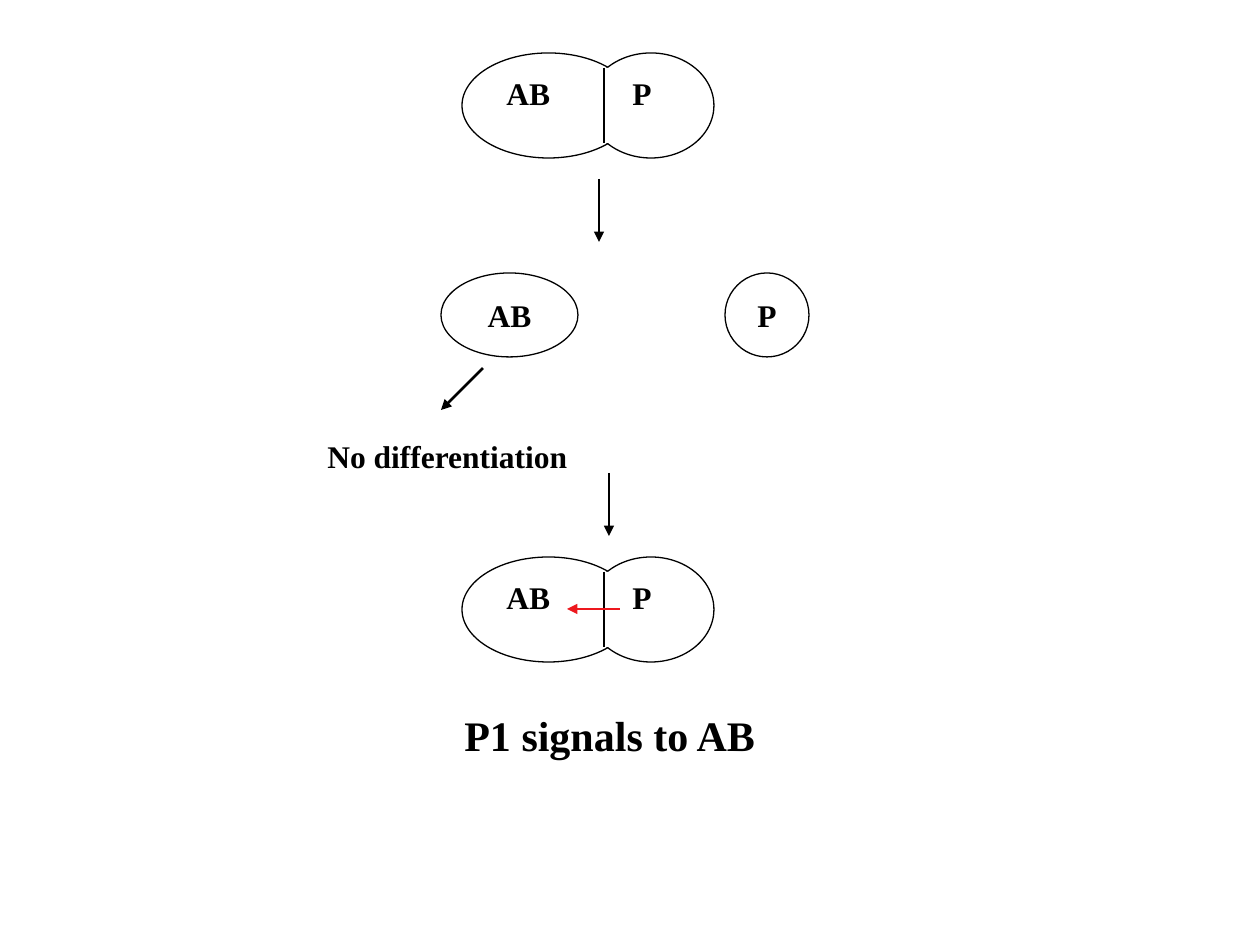
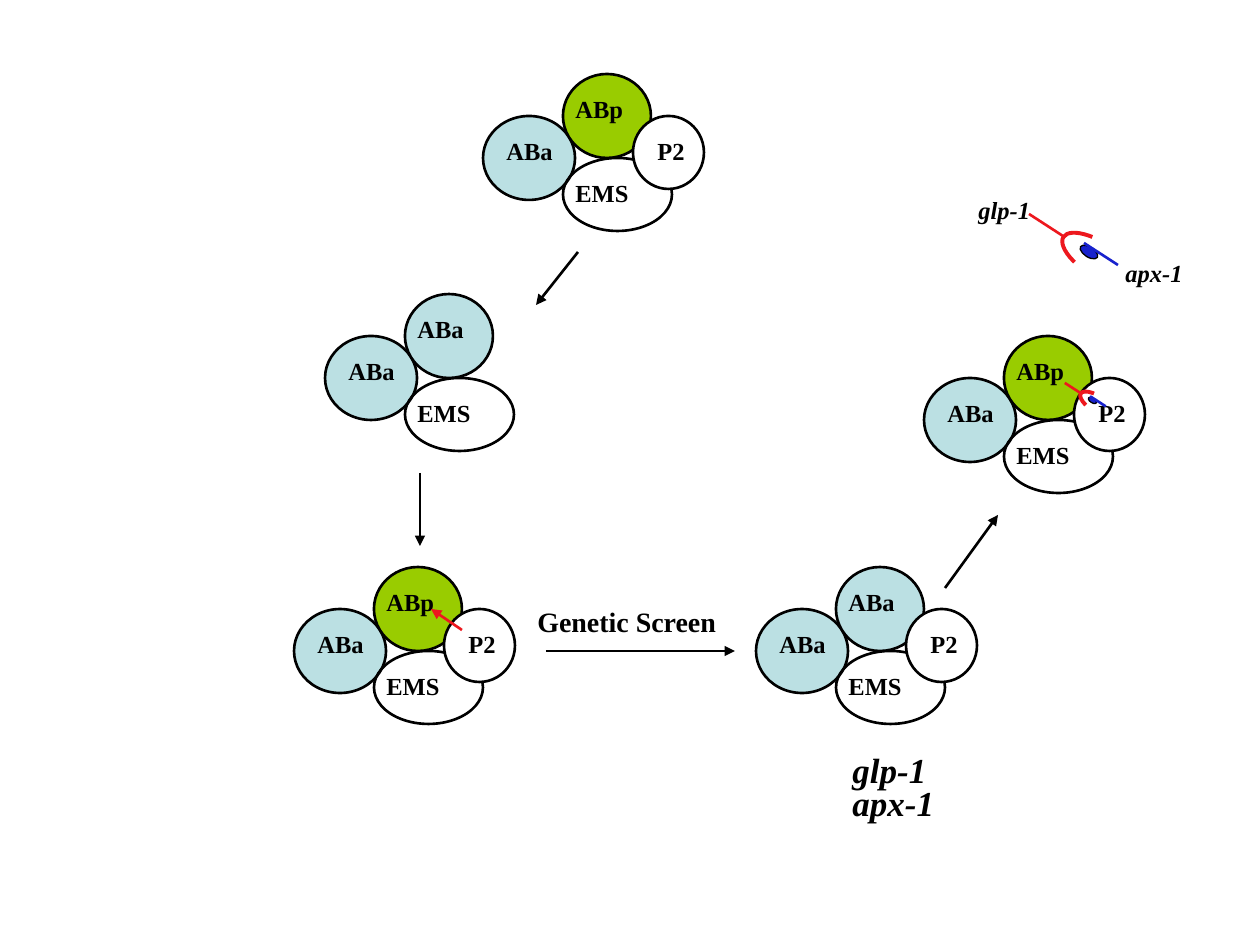
from dataclasses import dataclass

from lxml import etree
from pptx import Presentation
from pptx.dml.color import RGBColor
from pptx.enum.shapes import MSO_CONNECTOR, MSO_SHAPE
from pptx.enum.text import MSO_ANCHOR, MSO_AUTO_SIZE, PP_ALIGN
from pptx.oxml.ns import qn
from pptx.util import Pt

PX_PER_INCH = 126
BLANK_LAYOUT = 6
OVAL = MSO_SHAPE.OVAL
RECTANGLE = MSO_SHAPE.RECTANGLE
ARC = MSO_SHAPE.ARC
STRAIGHT = MSO_CONNECTOR.STRAIGHT
LEFT, CENTER = PP_ALIGN.LEFT, PP_ALIGN.CENTER
TOP, MIDDLE = MSO_ANCHOR.TOP, MSO_ANCHOR.MIDDLE
FIT_SHAPE = MSO_AUTO_SIZE.SHAPE_TO_FIT_TEXT
BINDING_TILT = 212.6
ARC_UNITS_PER_DEGREE = 0.6


@dataclass(frozen=True)
class Theme:
    font: str = "Times New Roman"
    black: str = "000000"
    white: str = "FFFFFF"
    aba: str = "BBE0E3"
    abp: str = "99CC00"
    signal: str = "ED181E"
    ligand: str = "1822CD"
    cell_size: int = 14
    screen_size: int = 16
    stage_size: int = 18
    gene_size: int = 20
    caption_size: int = 24
    thin: float = 0.75
    medium: float = 1.5
    thick: float = 2.25


THEME = Theme()


def px(value):
    return round(value * 914400 / PX_PER_INCH)


def rgb(color):
    return RGBColor.from_string(color)


def write(tf, text, size=THEME.stage_size, color=THEME.black, italic=False,
          align=LEFT, anchor=TOP):
    tf.word_wrap = False
    tf.vertical_anchor = anchor
    p = tf.paragraphs[0]
    p.alignment = align
    r = p.add_run()
    r.text = text
    r.font.name = THEME.font
    r.font.size = Pt(size)
    r.font.bold = True
    r.font.italic = italic
    r.font.color.rgb = rgb(color)


def add_label(slide, text, box, **fmt):
    sp = slide.shapes.add_textbox(*map(px, box))
    write(sp.text_frame, text, **fmt)
    sp.text_frame.auto_size = FIT_SHAPE


def add_preset(slide, preset, box, fill=None, line=THEME.black, width=THEME.thin):
    sp = slide.shapes.add_shape(preset, *map(px, box))
    sp.shadow.inherit = False
    if fill:
        sp.fill.solid()
        sp.fill.fore_color.rgb = rgb(fill)
    else:
        sp.fill.background()
    if line:
        sp.line.color.rgb = rgb(line)
        sp.line.width = Pt(width)
    else:
        sp.line.fill.background()
    return sp


def add_line(slide, start, end, color=THEME.black, width=THEME.medium, arrow=False):
    line = slide.shapes.add_connector(STRAIGHT, *map(px, (*start, *end)))
    line.line.color.rgb = rgb(color)
    line.line.width = Pt(width)
    if arrow:
        etree.SubElement(line.line._get_or_add_ln(), qn("a:tailEnd"), type="triangle")
    etree.SubElement(line._element.spPr, qn("a:effectLst"))


def add_cell_pair(slide, top):
    """AB and P joined, with the wall between them."""
    add_preset(slide, OVAL, (462, top, 173, 105))
    add_preset(slide, OVAL, (588, top, 126, 105), fill=THEME.white)
    add_preset(slide, RECTANGLE, (541, top + 15, 94, 75), fill=THEME.white, line=None)
    add_line(slide, (604, top + 15), (604, top + 90), width=THEME.thin)
    add_label(slide, "AB", (494, top + 15, 69, 50))
    add_label(slide, "P", (620, top + 15, 45, 50))


def add_embryo(slide, left, top, upper="ABp", with_p2=True):
    """Cluster of cells placed from the corner of its left ABa cell."""
    upper_fill = THEME.abp if upper == "ABp" else THEME.aba
    # name, fill, cell box, label offset and width
    cells = [("ABa", THEME.aba, (0, 0, 92, 84), (11, 14, 73)),
             (upper, upper_fill, (80, -42, 88, 84), (80, -28, 74)),
             ("EMS", None, (80, 42, 109, 73), (80, 56, 80))]
    if with_p2:
        cells.append(("P2", THEME.white, (150, 0, 71, 73), (162, 14, 54)))
    for _, fill, (x, y, w, h), _ in cells:
        add_preset(slide, OVAL, (left + x, top + y, w, h), fill=fill, width=THEME.medium)
    for name, _, _, (x, y, w) in cells:
        add_label(slide, name, (left + x, top + y, w, 43), size=THEME.cell_size)


def add_receptor(slide, left, top, scale=1.0):
    """Receptor arc holding a ligand, placed from the lower end of the arc."""
    def at(x, y):
        return left + x * scale, top + y * scale

    receptor = add_preset(slide, ARC, (*at(-18, -20), 82 * scale, 34 * scale),
                          line=THEME.signal, width=THEME.thick)
    receptor.rotation = BINDING_TILT
    for i, degrees in enumerate((320, 43)):
        receptor.adjustments[i] = degrees * ARC_UNITS_PER_DEGREE
    add_line(slide, at(-12, -26), at(-46, -48), color=THEME.signal)

    ligand = add_preset(slide, OVAL, (*at(4, -15), 20 * scale, 10 * scale),
                        fill=THEME.ligand)
    ligand.rotation = BINDING_TILT
    add_line(slide, at(9, -19), at(43, 3), color=THEME.ligand)


def build_two_cell_slide(slide):
    add_cell_pair(slide, 53)
    add_line(slide, (599, 179), (599, 242), arrow=True)
    for name, left, width in (("AB", 441, 137), ("P", 725, 84)):
        cell = add_preset(slide, OVAL, (left, 273, width, 84), fill=THEME.white)
        write(cell.text_frame, name, align=CENTER, anchor=MIDDLE)
    add_line(slide, (483, 368), (441, 410), arrow=True)
    add_label(slide, "No differentiation", (315, 431, 266, 50))
    add_line(slide, (609, 473), (609, 536), arrow=True)
    add_cell_pair(slide, 557)
    add_line(slide, (620, 609), (567, 609), color=THEME.signal, arrow=True)
    add_label(slide, "P1 signals to AB", (452, 703, 318, 63), size=THEME.caption_size)


def build_four_cell_slide(slide):
    add_embryo(slide, 483, 116)
    add_embryo(slide, 325, 336, upper="ABa", with_p2=False)
    add_embryo(slide, 294, 609)
    add_embryo(slide, 756, 609, upper="ABa")
    add_embryo(slide, 924, 378)

    for start, end in (((578, 252), (536, 305)), ((420, 473), (420, 546)),
                       ((546, 651), (735, 651)), ((945, 588), (998, 515))):
        add_line(slide, start, end, arrow=True)
    add_line(slide, (462, 630), (431, 609), color=THEME.signal, arrow=True)
    add_label(slide, "Genetic Screen", (525, 598, 205, 47), size=THEME.screen_size)

    add_receptor(slide, 1086, 405, scale=0.46)
    add_receptor(slide, 1075, 262)
    for gene, box, size in (("glp-1", (966, 189, 78, 43), THEME.cell_size),
                            ("apx-1", (1113, 252, 83, 43), THEME.cell_size),
                            ("glp-1", (840, 742, 99, 55), THEME.gene_size),
                            ("apx-1", (840, 775, 107, 55), THEME.gene_size)):
        add_label(slide, gene, box, size=size, italic=True)


def main():
    prs = Presentation()
    prs.slide_width, prs.slide_height = px(1260), px(945)
    for build in (build_two_cell_slide, build_four_cell_slide):
        build(prs.slides.add_slide(prs.slide_layouts[BLANK_LAYOUT]))
    prs.save("out.pptx")


if __name__ == "__main__":
    main()
